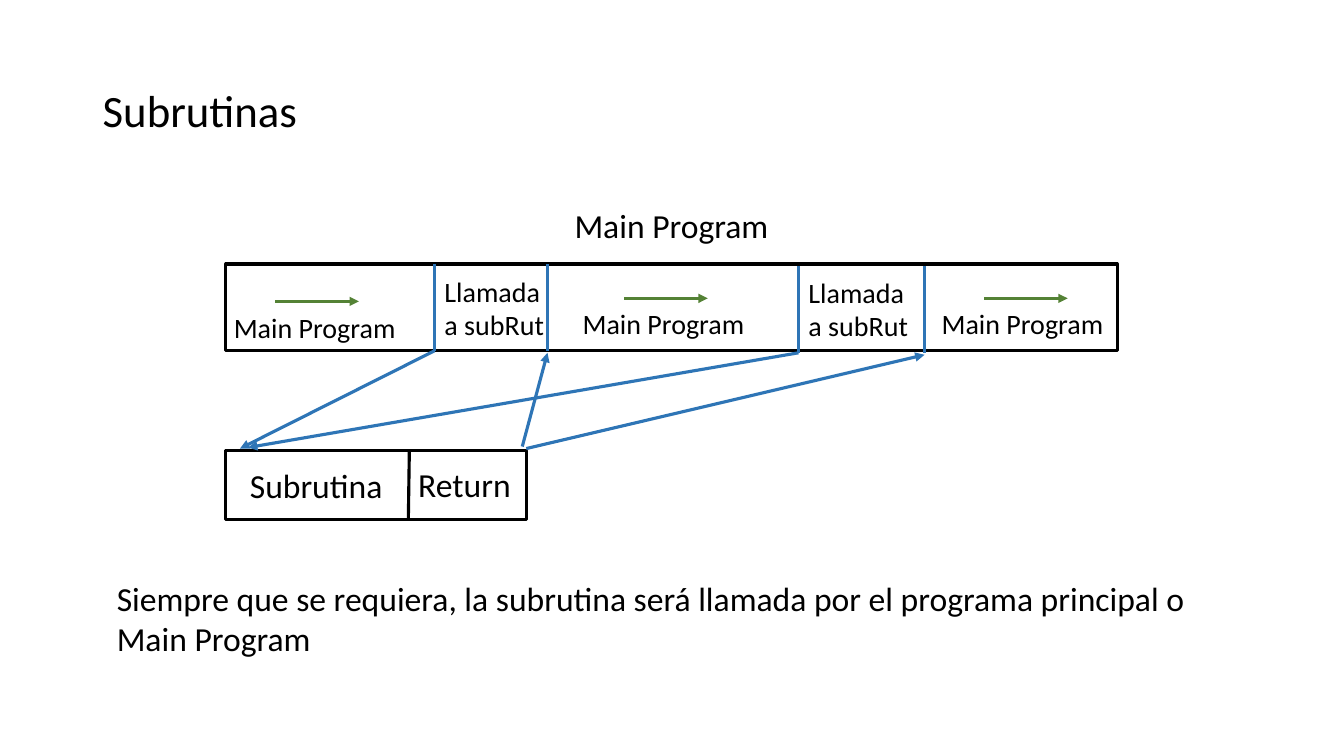
"""Builds a slide showing how a main program calls a subroutine."""
from pptx import Presentation
from pptx import util as u
from pptx.dml import color
from pptx.enum import shapes, text
from pptx.oxml import ns
from lxml import etree

BLACK, BLUE, GREEN = "000000", "2E75B6", "548235"

deck = Presentation()
deck.slide_width, deck.slide_height = u.Inches(13.33), u.Inches(7.5)
page = deck.slides.add_slide(deck.slide_layouts[6])


def rgb(value):
    return color.RGBColor.from_string(value)


def add_line(start, end, hue, arrow=False):
    points = [u.Inches(value) for value in (*start, *end)]
    line = page.shapes.add_connector(shapes.MSO_CONNECTOR.STRAIGHT, *points)
    line.line.color.rgb = rgb(hue)
    line.line.width = u.Pt(2.25)
    if arrow:
        outline = line.line._get_or_add_ln()
        etree.SubElement(outline, ns.qn("a:tailEnd"), type="triangle")
    etree.SubElement(line._element.spPr, ns.qn("a:effectLst"))


for frame in ((2.24, 2.62, 8.84, 0.86), (2.24, 4.47, 2.98, 0.68)):
    block = page.shapes.add_shape(shapes.MSO_SHAPE.RECTANGLE, *map(u.Inches, frame))
    block.shadow.inherit = False
    block.fill.background()
    block.line.color.rgb = rgb(BLACK)
    block.line.width = u.Pt(2.25)

for x, top in ((4.31, 2.62), (5.43, 2.62), (7.92, 2.64), (9.17, 2.64)):
    add_line((x, top), (x, top + 0.86), BLUE)
add_line((4.06, 4.47), (4.05, 5.15), BLACK)

for x, y in ((2.73, 2.99), (6.19, 2.96), (9.76, 2.96)):
    add_line((x, y), (x + 0.83, y), GREEN, arrow=True)

jumps = [
    ((4.31, 3.48), (2.38, 4.45)),
    ((5.18, 4.43), (5.43, 3.5)),
    ((7.92, 3.5), (2.46, 4.44)),
    ((5.22, 4.45), (9.17, 3.52)),
]
for start, end in jumps:
    add_line(start, end, BLUE, arrow=True)

labels = [
    ("Subrutinas", (0.92, 0.4, 11.5, 1.45), 32, True),
    ("Main Program", (5.6, 1.98, 2.14, 0.5), 24, False),
    ("Main Program", (2.22, 3.03, 1.82, 0.44), 20, False),
    ("Llamada a subRut", (4.31, 2.67, 1.23, 0.77), 20, True),
    ("Main Program", (5.68, 2.99, 1.82, 0.44), 20, False),
    ("Llamada a subRut", (7.92, 2.68, 1.23, 0.77), 20, True),
    ("Main Program", (9.24, 2.99, 1.82, 0.44), 20, False),
    ("Subrutina", (2.38, 4.56, 1.53, 0.5), 24, False),
    ("Return", (4.05, 4.55, 1.13, 0.5), 24, False),
    ("Siempre que se requiera, la subrutina será llamada por el programa "
     "principal o Main Program", (1.06, 5.68, 11.22, 0.91), 24, True),
]
for wording, frame, size, wrap in labels:
    box = page.shapes.add_textbox(*map(u.Inches, frame))
    box.text_frame.word_wrap = wrap
    box.text_frame.text = wording
    if wording == "Subrutinas":
        box.text_frame.vertical_anchor = text.MSO_ANCHOR.MIDDLE
        box.text_frame.paragraphs[0].line_spacing = 0.9
    span = box.text_frame.paragraphs[0].runs[0]
    span.font.name = "Calibri"
    span.font.size = u.Pt(size)
    span.font.color.rgb = rgb(BLACK)

deck.save("out.pptx")
